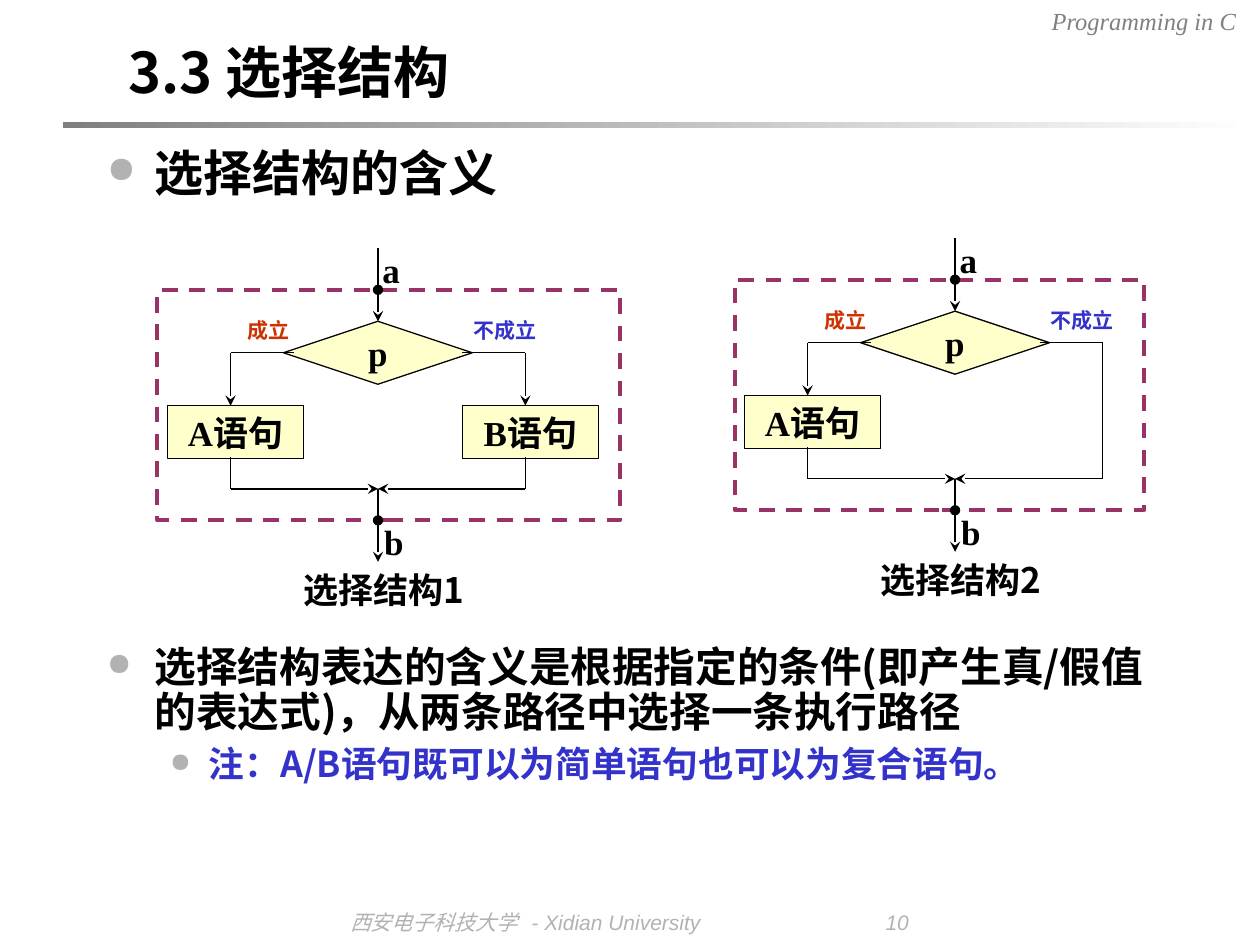
from dataclasses import dataclass

from lxml.etree import SubElement
from pptx import Presentation
from pptx.dml.color import RGBColor
from pptx.enum.dml import MSO_LINE
from pptx.enum.shapes import MSO_CONNECTOR, MSO_SHAPE
from pptx.enum.text import MSO_ANCHOR, PP_ALIGN
from pptx.oxml.ns import qn
from pptx.util import Inches, Pt


@dataclass(frozen=True)
class Theme:
    black: str = "000000"
    gray: str = "808080"
    pale: str = "B2B2B2"
    white: str = "FFFFFF"
    blue: str = "3333CC"
    red: str = "CC3300"
    cream: str = "FFFFCC"
    plum: str = "993366"
    sans: str = "Noto Sans CJK SC"
    serif: str = "Times New Roman"
    footer_font: str = "Arial"
    title_size: float = 32
    heading_size: float = 28
    body_size: float = 23.8
    note_size: float = 20.4
    node_size: float = 20
    header_size: float = 14
    small_size: float = 12
    line_width: float = 0.75
    frame_width: float = 2.25


def set_attributes(target, values):
    for name, value in values.items():
        setattr(target, name, value)


def add_xml(parent, tag, **attributes):
    return SubElement(parent, qn(tag), attributes)


class SlideBuilder:
    def __init__(self, slide, theme):
        self.slide = slide
        self.theme = theme
        self.shapes = slide.shapes

    def begin_group(self):
        self.shapes = self.slide.shapes.add_group_shape().shapes

    def end_group(self):
        self.shapes = self.slide.shapes

    def add_text(self, paragraph, text, size, color=None, font=None, bold=True, italic=False):
        run = paragraph.add_run()
        run.text = text
        set_attributes(run.font, {
            "name": font or self.theme.sans,
            "size": Pt(size),
            "bold": bold,
            "italic": italic,
        })
        run.font.color.rgb = RGBColor.from_string(color or self.theme.black)
        add_xml(run.font._element, "a:ea", typeface=self.theme.sans)

    def text_box(self, left, top, width, height, inset_x=0.1, inset_y=0.05,
                 align=PP_ALIGN.LEFT):
        box = self.shapes.add_textbox(*map(Inches, (left, top, width, height)))
        set_attributes(box.text_frame, {
            "word_wrap": True,
            "margin_left": Inches(inset_x),
            "margin_right": Inches(inset_x),
            "margin_top": Inches(inset_y),
            "margin_bottom": Inches(inset_y),
        })
        paragraph = box.text_frame.paragraphs[0]
        paragraph.alignment = align
        return box.text_frame, paragraph

    def label(self, text, left, top, width, height, size, align=PP_ALIGN.CENTER,
              inset_x=0.1, inset_y=0.05, **style):
        paragraph = self.text_box(left, top, width, height, inset_x, inset_y, align)[1]
        self.add_text(paragraph, text, size, **style)

    def tabbed_line(self, cells, left, top, width, height, stops, size, **style):
        paragraph = self.text_box(left, top, width, height)[1]
        tabs = add_xml(paragraph._p.get_or_add_pPr(), "a:tabLst")
        for stop in stops:
            add_xml(tabs, "a:tab", pos=str(Inches(stop)), algn="l")
        self.add_text(paragraph, "\t".join(cells), size, **style)

    def bullets(self, items, left, top, width, height, spacing=1.0):
        frame, paragraph = self.text_box(left, top, width, height)
        for index, (text, size, color, margin, hanging) in enumerate(items):
            if index:
                paragraph = frame.add_paragraph()
                paragraph.space_before = Pt(6)
                paragraph.level = index
            paragraph.line_spacing = spacing
            properties = paragraph._p.get_or_add_pPr()
            properties.set("marL", str(Inches(margin)))
            properties.set("indent", str(-Inches(hanging)))
            bullet_color = add_xml(properties, "a:buClr")
            add_xml(bullet_color, "a:srgbClr", val=self.theme.pale)
            add_xml(properties, "a:buSzPct", val="75000")
            add_xml(properties, "a:buChar", char="●")
            self.add_text(paragraph, text, size, color)

    def shape(self, kind, left, top, width, height):
        shape = self.shapes.add_shape(kind, *map(Inches, (left, top, width, height)))
        shape.shadow.inherit = False
        return shape

    def gradient_rule(self, left, top, width, height):
        rule = self.shape(MSO_SHAPE.RECTANGLE, left, top, width, height)
        rule.line.fill.background()
        rule.fill.gradient()
        rule.fill.gradient_angle = 0
        for stop, color in zip(rule.fill.gradient_stops, (self.theme.gray, self.theme.white)):
            stop.color.rgb = RGBColor.from_string(color)

    def node(self, kind, text, left, top, width, height):
        node = self.shape(kind, left, top, width, height)
        node.fill.solid()
        node.fill.fore_color.rgb = RGBColor.from_string(self.theme.cream)
        node.line.color.rgb = RGBColor.from_string(self.theme.black)
        node.line.width = Pt(self.theme.line_width)
        set_attributes(node.text_frame, {
            "word_wrap": False, "vertical_anchor": MSO_ANCHOR.MIDDLE})
        paragraph = node.text_frame.paragraphs[0]
        paragraph.alignment = PP_ALIGN.CENTER
        self.add_text(paragraph, text, self.theme.node_size, font=self.theme.serif)

    def dashed_frame(self, left, top, width, height):
        frame = self.shape(MSO_SHAPE.RECTANGLE, left, top, width, height)
        frame.fill.background()
        frame.line.color.rgb = RGBColor.from_string(self.theme.plum)
        set_attributes(frame.line, {
            "width": Pt(self.theme.frame_width), "dash_style": MSO_LINE.DASH})

    def line(self, start_x, start_y, end_x, end_y, end_mark=None):
        line = self.shapes.add_connector(
            MSO_CONNECTOR.STRAIGHT, *map(Inches, (start_x, start_y, end_x, end_y)))
        line.line.color.rgb = RGBColor.from_string(self.theme.black)
        line.line.width = Pt(self.theme.line_width)
        if end_mark:
            add_xml(line.line._get_or_add_ln(), "a:tailEnd", type=end_mark)
        add_xml(line._element.spPr, "a:effectLst")

    def selection_chart(self, left, top, width, statements, caption):
        """Flowchart placed by its dashed frame; a missing statement is a bare path."""
        theme = self.theme
        center = left + 1.75
        branch, box_top, box_bottom, merge, bottom = (
            top + offset for offset in (0.5, 0.92, 1.33, 1.58, 1.83))
        self.begin_group()

        # Condition and its two branches
        self.node(MSO_SHAPE.DIAMOND, "p", center - 0.75, top + 0.25, 1.5, 0.5)
        for side, box_left, statement in zip((-1, 1), (0.08, 2.42), statements):
            path = center + side * 1.17
            self.line(center + side * 0.67, branch, path, branch)
            if statement:
                self.node(MSO_SHAPE.RECTANGLE, statement, left + box_left, box_top, 1.08, 0.42)
                self.line(path, branch, path, box_top, "stealth")
                self.line(path, box_bottom, path, merge)
            else:
                self.line(path, branch, path, merge)
            self.line(path, merge, center, merge, "stealth")

        # Frame, entry and exit
        self.dashed_frame(left, top, width, 1.83)
        for start, end, mark in ((top - 0.33, top, "oval"), (top, top + 0.25, "stealth"),
                                 (merge, bottom, "oval"), (bottom, bottom + 0.33, "stealth")):
            self.line(center, start, center, end, mark)

        # Labels
        for text, offset, label_width, color in (("成立", 0.67, 0.42, theme.red),
                                                 ("不成立", 2.42, 0.67, theme.blue)):
            self.label(text, left + offset, top + 0.17, label_width, 0.3, theme.small_size,
                       inset_x=0, color=color, font=theme.serif)
        for text, x, y, label_width in (("a", center - 0.06, top - 0.33, 0.33),
                                        ("b", center, bottom, 0.25)):
            self.label(text, x, y, label_width, 0.33, theme.node_size,
                       inset_x=0, inset_y=0, font=theme.serif)
        self.label(caption, left + 0.67, bottom + 0.33, 2.25, 0.44, theme.node_size)
        self.end_group()


def main():
    presentation = Presentation()
    presentation.slide_width, presentation.slide_height = Inches(10), Inches(7.5)
    slide = presentation.slides.add_slide(presentation.slide_layouts[6])
    theme = Theme()
    builder = SlideBuilder(slide, theme)

    # Header, footer and title
    builder.label("Programming in C", 6.83, 0, 3.08, 0.34, theme.header_size,
                  align=PP_ALIGN.RIGHT, color=theme.gray, font=theme.serif,
                  bold=False, italic=True)
    builder.tabbed_line(("西安电子科技大学", "- Xidian University", "10"), 2.68, 7.17, 5, 0.33,
                        (1.44, 4.25), theme.small_size, color=theme.pale,
                        font=theme.footer_font, bold=False, italic=True)
    builder.gradient_rule(0.5, 0.97, 9.45, 0.05)
    builder.label("3.3 选择结构", 0.92, 0.25, 8.5, 0.67, theme.title_size, align=PP_ALIGN.LEFT)

    # Bullet text
    builder.bullets([
        ("选择结构表达的含义是根据指定的条件(即产生真/假值的表达式)，从两条路径中选择一条执行路径",
         theme.body_size, theme.black, 0.38, 0.38),
        ("注：A/B语句既可以为简单语句也可以为复合语句。",
         theme.note_size, theme.blue, 0.81, 0.31),
    ], 0.75, 5.08, 8.67, 1.75, spacing=0.9)
    builder.bullets([("选择结构的含义", theme.heading_size, theme.black, 0.38, 0.38)],
                    0.75, 1.08, 8.67, 2)

    # Flowcharts
    builder.selection_chart(1.25, 2.3, 3.67, ("A语句", "B语句"), "选择结构1")
    builder.selection_chart(5.83, 2.22, 3.25, ("A语句", None), "选择结构2")

    presentation.save("out.pptx")


if __name__ == "__main__":
    main()
